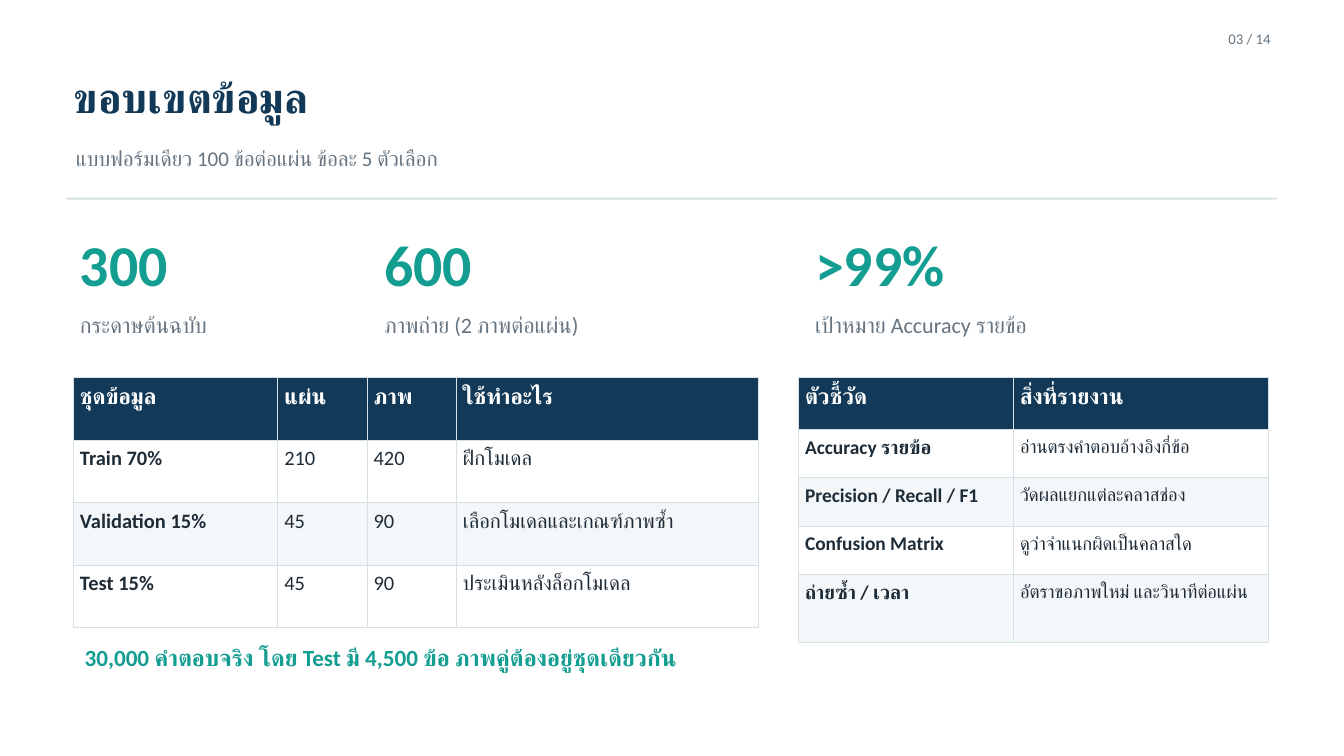
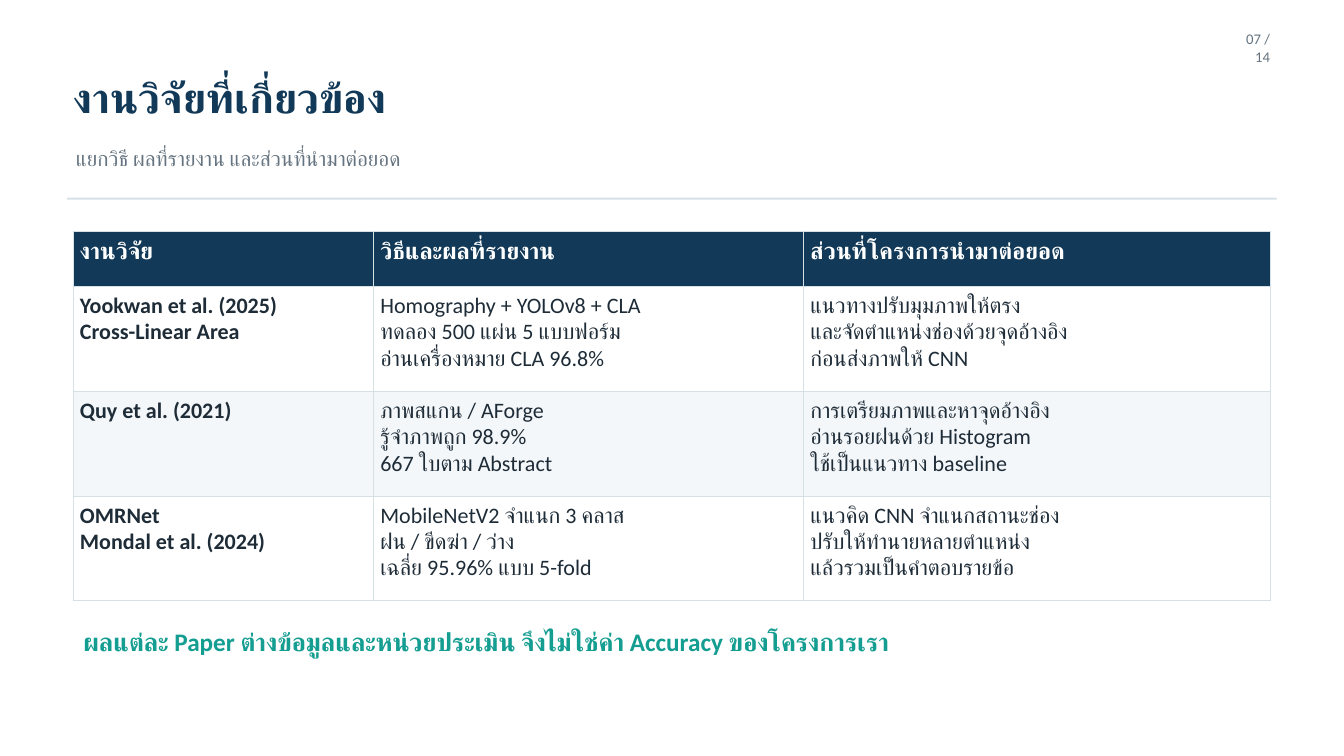
from typing import NamedTuple

from lxml import etree
from pptx import Presentation
from pptx.dml.color import RGBColor
from pptx.enum.shapes import MSO_SHAPE
from pptx.enum.text import MSO_ANCHOR, MSO_AUTO_SIZE, PP_ALIGN
from pptx.oxml.ns import qn
from pptx.util import Inches, Pt

RECT = MSO_SHAPE.RECTANGLE
LEFT, RIGHT = PP_ALIGN.LEFT, PP_ALIGN.RIGHT
TOP = MSO_ANCHOR.TOP
FIXED = MSO_AUTO_SIZE.NONE

FONT = "Calibri"
LEAD = 1.2
PAD = Inches(0.1)
COLORS = {
    "navy": "123A58",
    "teal": "149D91",
    "grey": "657480",
    "ink": "1E2C38",
    "line": "D6E1E6",
    "band": "F4F7F9",
    "white": "FFFFFF",
}


class Style(NamedTuple):
    size: float
    color: str
    bold: bool = False
    align: PP_ALIGN = LEFT


class Box(NamedTuple):
    left: float
    top: float
    width: float
    height: float


class Metric(NamedTuple):
    left: float
    width: float
    value: str
    label: str


class Grid(NamedTuple):
    left: float
    top: float
    cols: list[float]
    rows: list[float]
    head: float
    sizes: list[float]
    cells: list[list[str]]


class Page(NamedTuple):
    title: str
    lead: str
    number: str
    num_box: Box
    metrics: list[Metric]
    grids: list[Grid]
    note: str
    note_box: Box
    note_size: float


TITLE = Style(45, "navy", True)
SUB = Style(22.5, "grey")
NUMBER = Style(15.8, "grey", align=RIGHT)
VALUE = Style(61.9, "teal", True)
LABEL = Style(23.6, "grey")

TITLE_BOX = Box(1.1, 1.06, 17.8, 0.76)
SUB_BOX = Box(1.13, 2.16, 17.69, 0.39)
RULE_BOX = Box(1, 2.94, 18, 0.03)

PAGES = [
    Page(
        "ขอบเขตข้อมูล",
        "แบบฟอร์มเดียว 100 ข้อต่อแผ่น ข้อละ 5 ตัวเลือก",
        "03 / 14",
        Box(17.23, 0.44, 1.68, 0.26),
        [
            Metric(1.19, 1.65, "300", "กระดาษต้นฉบับ"),
            Metric(5.72, 1.69, "600", "ภาพถ่าย (2 ภาพต่อแผ่น)"),
            Metric(12.13, 2.4, ">99%", "เป้าหมาย Accuracy รายข้อ"),
        ],
        [
            Grid(
                1.09, 5.61, [3.04, 1.33, 1.33, 4.49], [0.94] + [0.93] * 3,
                23.6, [21.9] * 4,
                [
                    ["ชุดข้อมูล", "แผ่น", "ภาพ", "ใช้ทำอะไร"],
                    ["Train 70%", "210", "420", "ฝึกโมเดล"],
                    ["Validation 15%", "45", "90", "เลือกโมเดลและเกณฑ์ภาพซ้ำ"],
                    ["Test 15%", "45", "90", "ประเมินหลังล็อกโมเดล"],
                ],
            ),
            Grid(
                11.88, 5.61, [3.2, 3.8], [0.78] + [0.72] * 3 + [1.01],
                23.6, [20.8, 19.8],
                [
                    ["ตัวชี้วัด", "สิ่งที่รายงาน"],
                    ["Accuracy รายข้อ", "อ่านตรงคำตอบอ้างอิงกี่ข้อ"],
                    ["Precision / Recall / F1", "วัดผลแยกแต่ละคลาสช่อง"],
                    ["Confusion Matrix", "ดูว่าจำแนกผิดเป็นคลาสใด"],
                    ["ถ่ายซ้ำ / เวลา", "อัตราขอภาพใหม่ และวินาทีต่อแผ่น"],
                ],
            ),
        ],
        "30,000 คำตอบจริง โดย Test มี 4,500 ข้อ ภาพคู่ต้องอยู่ชุดเดียวกัน",
        Box(1.26, 9.58, 9.62, 0.41),
        24.8,
    ),
    Page(
        "งานวิจัยที่เกี่ยวข้อง",
        "แยกวิธี ผลที่รายงาน และส่วนที่นำมาต่อยอด",
        "07 / 14",
        Box(18.28, 0.44, 0.62, 0.26),
        [],
        [
            Grid(
                1.09, 3.44, [4.47, 6.4, 6.94], [0.82] + [1.56] * 3,
                24.8, [23.6] * 3,
                [
                    ["งานวิจัย", "วิธีและผลที่รายงาน", "ส่วนที่โครงการนำมาต่อยอด"],
                    [
                        "Yookwan et al. (2025)\nCross-Linear Area",
                        "Homography + YOLOv8 + CLA\nทดลอง 500 แผ่น 5 แบบฟอร์ม\n"
                        "อ่านเครื่องหมาย CLA 96.8%",
                        "แนวทางปรับมุมภาพให้ตรง\nและจัดตำแหน่งช่องด้วยจุดอ้างอิง\n"
                        "ก่อนส่งภาพให้ CNN",
                    ],
                    [
                        "Quy et al. (2021)",
                        "ภาพสแกน / AForge\nรู้จำภาพถูก 98.9%\n667 ใบตาม Abstract",
                        "การเตรียมภาพและหาจุดอ้างอิง\nอ่านรอยฝนด้วย Histogram\n"
                        "ใช้เป็นแนวทาง baseline",
                    ],
                    [
                        "OMRNet\nMondal et al. (2024)",
                        "MobileNetV2 จำแนก 3 คลาส\nฝน / ขีดฆ่า / ว่าง\n"
                        "เฉลี่ย 95.96% แบบ 5-fold",
                        "แนวคิด CNN จำแนกสถานะช่อง\nปรับให้ทำนายหลายตำแหน่ง\n"
                        "แล้วรวมเป็นคำตอบรายข้อ",
                    ],
                ],
            ),
        ],
        "ผลแต่ละ Paper ต่างข้อมูลและหน่วยประเมิน จึงไม่ใช่ค่า Accuracy ของโครงการเรา",
        Box(1.24, 9.32, 12.84, 0.45),
        27,
    ),
]


def rgb(name: str) -> RGBColor:
    return RGBColor.from_string(COLORS[name])


def write(frame, text: str, style: Style) -> None:
    """Fill a text frame, one paragraph to each line of text."""
    frame.word_wrap = True
    for i, line in enumerate(text.split("\n")):
        para = frame.add_paragraph() if i else frame.paragraphs[0]
        para.alignment = style.align
        para.line_spacing = Pt(style.size * LEAD)
        run = para.add_run()
        run.text = line
        font = run.font
        font.size, font.bold = Pt(style.size), style.bold
        font.color.rgb = rgb(style.color)
        font.name = FONT
        # Thai letters take the complex script font.
        etree.SubElement(run._r.get_or_add_rPr(), qn("a:cs"), typeface=FONT)


def place(shape, box: Box, text: str, style: Style) -> None:
    """Move a text shape, clear its margins and write in it."""
    shape.left, shape.top, shape.width, shape.height = map(Inches, box)
    frame = shape.text_frame
    frame.margin_left = frame.margin_right = 0
    frame.margin_top = frame.margin_bottom = 0
    frame.vertical_anchor = TOP
    frame.auto_size = FIXED
    write(frame, text, style)


def add_text(slide, box: Box, text: str, style: Style) -> None:
    place(slide.shapes.add_textbox(*map(Inches, box)), box, text, style)


def add_rule(slide) -> None:
    rule = slide.shapes.add_shape(RECT, *map(Inches, RULE_BOX))
    rule.shadow.inherit = False
    rule.fill.solid()
    rule.fill.fore_color.rgb = rgb("line")
    rule.line.fill.background()


def edge(cell) -> None:
    """Draw a thin line on all four sides of a cell."""
    props = cell._tc.get_or_add_tcPr()
    for tag in ("a:lnL", "a:lnR", "a:lnT", "a:lnB"):
        line = etree.SubElement(props, qn(tag), w=str(Pt(0.75)))
        fill = etree.SubElement(line, qn("a:solidFill"))
        etree.SubElement(fill, qn("a:srgbClr"), val=COLORS["line"])


def add_grid(slide, grid: Grid) -> None:
    box = Box(grid.left, grid.top, sum(grid.cols), sum(grid.rows))
    table = slide.shapes.add_table(
        len(grid.rows), len(grid.cols), *map(Inches, box)).table
    table.horz_banding = False
    for col, width in zip(table.columns, grid.cols):
        col.width = Inches(width)
    for r, (height, texts) in enumerate(zip(grid.rows, grid.cells)):
        table.rows[r].height = Inches(height)
        for c, text in enumerate(texts):
            cell = table.cell(r, c)
            cell.margin_left = cell.margin_right = PAD
            cell.margin_top = cell.margin_bottom = PAD
            cell.vertical_anchor = TOP
            edge(cell)
            if r == 0:
                back, style = "navy", Style(grid.head, "white", True)
            else:
                back = "white" if r % 2 else "band"
                style = Style(grid.sizes[c], "ink", c == 0)
            cell.fill.solid()
            cell.fill.fore_color.rgb = rgb(back)
            write(cell.text_frame, text, style)


def add_page(deck, page: Page) -> None:
    slide = deck.slides.add_slide(deck.slide_layouts.get_by_name("Title Only"))
    add_text(slide, page.num_box, page.number, NUMBER)
    place(slide.shapes.title, TITLE_BOX, page.title, TITLE)
    add_text(slide, SUB_BOX, page.lead, SUB)
    add_rule(slide)
    for item in page.metrics:
        add_text(slide, Box(item.left, 3.4, item.width, 1.04), item.value, VALUE)
        add_text(slide, Box(item.left, 4.63, 5.74, 0.4), item.label, LABEL)
    for grid in page.grids:
        add_grid(slide, grid)
    add_text(slide, page.note_box, page.note, Style(page.note_size, "teal", True))


def main() -> None:
    deck = Presentation()
    deck.slide_width, deck.slide_height = Inches(20), Inches(11.25)
    for page in PAGES:
        add_page(deck, page)
    deck.save("out.pptx")


if __name__ == "__main__":
    main()
